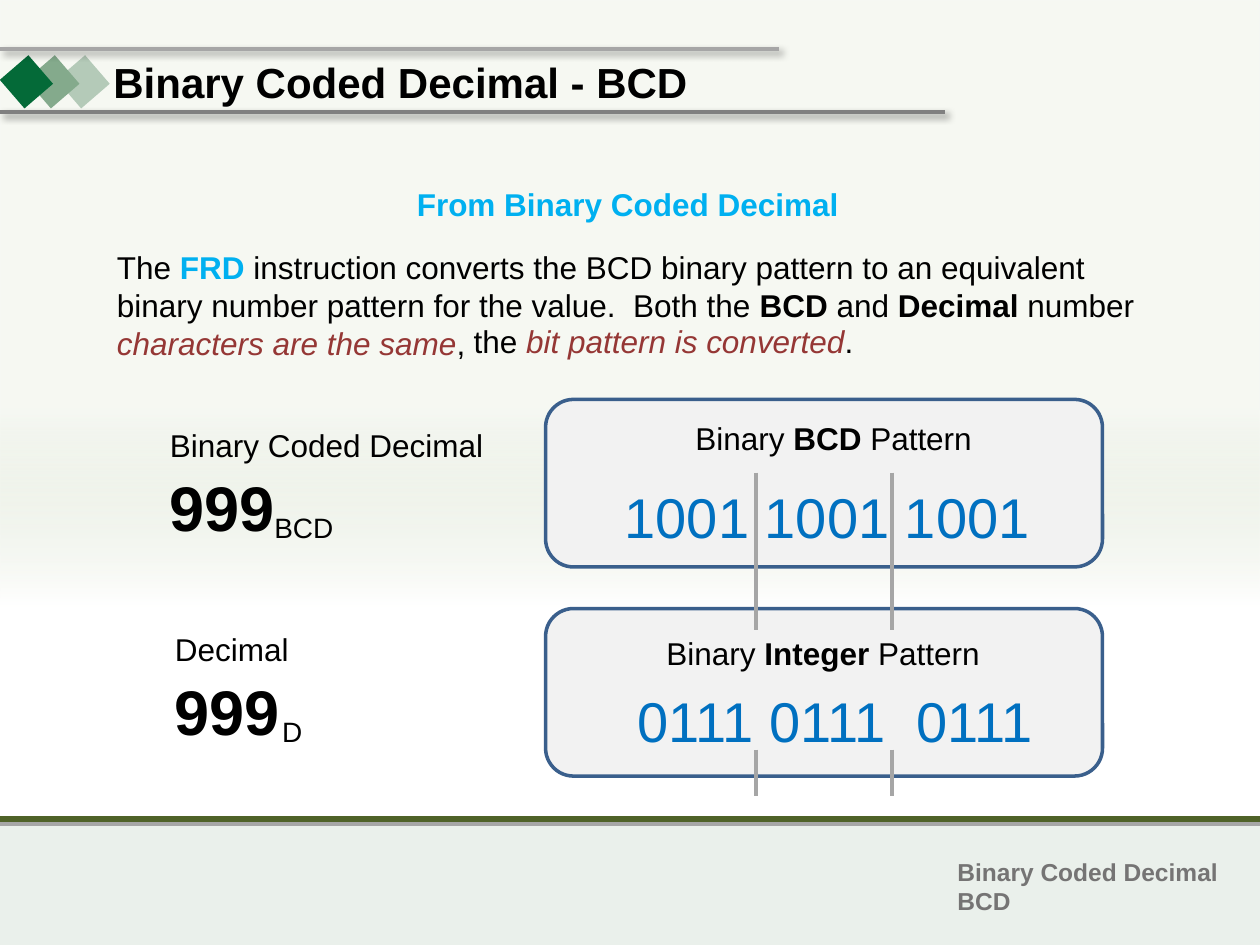
from dataclasses import dataclass

from lxml import etree
from pptx import Presentation
from pptx import util as u
from pptx.dml.color import RGBColor
from pptx.enum import shapes, text
from pptx.oxml import parse_xml
from pptx.oxml.ns import nsdecls, qn

Inches = u.Inches


@dataclass(frozen=True)
class Theme:
    font: str = "Arial"
    ink: str = "000000"
    accent: str = "00B0F0"
    emphasis: str = "953735"
    digits: str = "0070C0"
    panel: str = "F2F2F2"
    panel_line: str = "3A5F8C"
    rule: str = "A6A6A6"
    dark_rule: str = "808080"
    footer_rule: str = "4F6228"
    footer_band: str = "EAF0EB"
    footer_text: str = "757474"
    haze: str = "D1DCC3"
    paper: str = "FFFFFF"
    diamonds: tuple = ("B4CAB8", "84AA8C", "046A38")
    title_size: int = 24
    body_size: int = 18
    number_size: int = 36
    digit_size: int = 32
    subscript_size: int = 16
    footer_size: int = 14


class SlideBuilder:
    def __init__(self, slide, theme):
        self.slide = slide
        self.theme = theme

    def set_text(self, shape, paragraphs, size, wrap=False, **base):
        """Fill a shape with paragraphs, each a list of (text, format) runs."""
        frame = shape.text_frame
        frame.word_wrap = wrap
        frame.auto_size = text.MSO_AUTO_SIZE.SHAPE_TO_FIT_TEXT
        frame.vertical_anchor = text.MSO_ANCHOR.TOP
        for index, runs in enumerate(paragraphs):
            paragraph = frame.add_paragraph() if index else frame.paragraphs[0]
            paragraph.alignment = text.PP_ALIGN.LEFT
            for content, changes in runs:
                run = paragraph.add_run()
                run.text = content
                values = {"name": self.theme.font, "size": u.Pt(size),
                          "bold": False, "italic": False,
                          "color": self.theme.ink, **base, **changes}
                run.font.color.rgb = RGBColor.from_string(values.pop("color"))
                for name, value in values.items():
                    setattr(run.font, name, value)

    def text_box(self, left, top, width, height, paragraphs, size, **options):
        if isinstance(paragraphs, str):
            paragraphs = [[(paragraphs, {})]]
        box = self.slide.shapes.add_textbox(
            Inches(left), Inches(top), Inches(width), Inches(height))
        self.set_text(box, paragraphs, size, **options)

    def title(self, left, top, width, height, content):
        title = self.slide.shapes.title
        title.left, title.top = Inches(left), Inches(top)
        title.width, title.height = Inches(width), Inches(height)
        self.set_text(title, [[(content, {})]], self.theme.title_size,
                      wrap=True, bold=True)
        # Bring the title in front of the header artwork.
        self.slide.shapes._spTree.append(title._element)

    def block(self, left, top, width, height, fill, line=None, rounded=False,
              rotation=0):
        kind = shapes.MSO_SHAPE
        shape = self.slide.shapes.add_shape(
            kind.ROUNDED_RECTANGLE if rounded else kind.RECTANGLE,
            Inches(left), Inches(top), Inches(width), Inches(height))
        shape.shadow.inherit = False
        shape.rotation = rotation
        shape.fill.solid()
        shape.fill.fore_color.rgb = RGBColor.from_string(fill)
        if line:
            shape.line.color.rgb = RGBColor.from_string(line)
            shape.line.width = u.Pt(2)
        else:
            shape.line.fill.background()
        return shape

    def haze(self, left, top, width, height):
        """Add a block that fades from translucent green to white."""
        shape = self.block(left, top, width, height, self.theme.paper)
        shape.fill.gradient()
        shape.fill.gradient_angle = 270
        stops = shape._element.spPr.find(qn("a:gradFill")).find(qn("a:gsLst"))
        for stop in list(stops):
            stops.remove(stop)
        for position, color, opacity in ((50, self.theme.haze, 20),
                                         (74, self.theme.paper, 100),
                                         (100, self.theme.paper, 100)):
            stop = etree.SubElement(stops, qn("a:gs"), pos=str(position * 1000))
            fill = etree.SubElement(stop, qn("a:srgbClr"), val=color)
            etree.SubElement(fill, qn("a:alpha"), val=str(opacity * 1000))

    def line(self, x1, y1, x2, y2, color, width=2.25, shadow=False):
        connector = self.slide.shapes.add_connector(
            shapes.MSO_CONNECTOR.STRAIGHT,
            Inches(x1), Inches(y1), Inches(x2), Inches(y2))
        connector.line.color.rgb = RGBColor.from_string(color)
        connector.line.width = u.Pt(width)
        effects = parse_xml(f"<a:effectLst {nsdecls('a')}/>")
        if shadow:
            outer = etree.SubElement(
                effects, qn("a:outerShdw"), blurRad=str(u.Pt(4)),
                dist=str(u.Pt(3)), dir=str(45 * 60000), algn="tl", rotWithShape="0")
            shade = etree.SubElement(outer, qn("a:srgbClr"), val=self.theme.ink)
            etree.SubElement(shade, qn("a:alpha"), val="40000")
        connector._element.spPr.append(effects)

    def number(self, left, top, label, label_width, base, base_left, base_width):
        """Add a labelled 999 with its number base as a subscript."""
        theme = self.theme
        self.text_box(left, top + 0.34, 1.04, 0.71, "999", theme.number_size,
                      bold=True)
        self.text_box(base_left, top + 0.67, base_width, 0.37, base,
                      theme.subscript_size)
        self.text_box(left, top, label_width, 0.4, label, theme.body_size)

    def pattern(self, top, name, name_box, digits, digit_box):
        theme = self.theme
        self.block(4.33, top, 4.42, 1.33, theme.panel, theme.panel_line, rounded=True)
        self.text_box(*digit_box, 0.64, digits, theme.digit_size, color=theme.digits)
        runs = [("Binary ", {}), (name, {"bold": True}), (" Pattern", {})]
        self.text_box(*name_box, 0.4, [runs], theme.body_size)


def main():
    presentation = Presentation()
    presentation.slide_width, presentation.slide_height = Inches(10), Inches(7.5)
    slide = presentation.slides.add_slide(presentation.slide_layouts[5])
    theme = Theme()
    builder = SlideBuilder(slide, theme)

    # Background and footer
    builder.block(0, 6.5, 10, 1, theme.footer_band)
    builder.haze(0, 0, 10, 6.5)
    builder.line(0, 6.54, 10, 6.54, theme.rule)
    builder.line(0, 6.5, 10, 6.5, theme.footer_rule, 3)
    builder.text_box(7.5, 6.75, 2.28, 0.57,
                     [[("Binary Coded Decimal", {})], [("BCD", {})]],
                     theme.footer_size, bold=True, color=theme.footer_text)

    # Header
    for left, color in zip((0.51, 0.27, 0.06), theme.diamonds):
        builder.block(left, 0.5, 0.3, 0.3, color, rotation=49.2)
    builder.line(0, 0.89, 7.5, 0.89, theme.dark_rule, shadow=True)
    builder.line(0, 0.39, 6.18, 0.39, theme.rule, shadow=True)
    builder.title(0.8, 0.4, 4.83, 0.5, "Binary Coded Decimal - BCD")

    # Explanation
    builder.text_box(3.21, 1.42, 3.58, 0.4, "From Binary Coded Decimal",
                     theme.body_size, bold=True, color=theme.accent)
    bold = {"bold": True}
    stressed = {"italic": True, "color": theme.emphasis}
    builder.text_box(0.83, 1.92, 8.33, 1.01, [[
        ("The ", {}), ("FRD", {"bold": True, "color": theme.accent}),
        (" instruction converts the BCD binary pattern to an equivalent binary "
         "number pattern for the value.  Both the ", {}),
        ("BCD", bold), (" and ", {}), ("Decimal", bold), (" number ", {}),
        ("characters are the same", stressed), (",", {})]],
        theme.body_size, wrap=True)
    builder.text_box(3.66, 2.51, 3.25, 0.4, [[
        ("the ", {}), ("bit pattern is converted", stressed), (".", {})]],
        theme.body_size)

    # Numbers and their bit patterns
    builder.number(1.29, 4.95, "Decimal", 1.11, "D", 2.14, 0.36)
    builder.number(1.25, 3.33, "Binary Coded Decimal", 2.71, "BCD", 2.08, 0.67)
    builder.pattern(4.83, "Integer", (5.19, 4.98, 2.71),
                    "0111 0111  0111", (4.96, 5.4, 3.36))
    builder.pattern(3.17, "BCD", (5.42, 3.28, 2.4),
                    "1001 1001 1001", (4.86, 3.78, 3.44))
    for top, bottom in ((3.75, 5), (5.95, 6.32)):
        for x in (6, 7.08):
            builder.line(x, top, x, bottom, theme.rule)

    presentation.save("out.pptx")


if __name__ == "__main__":
    main()
